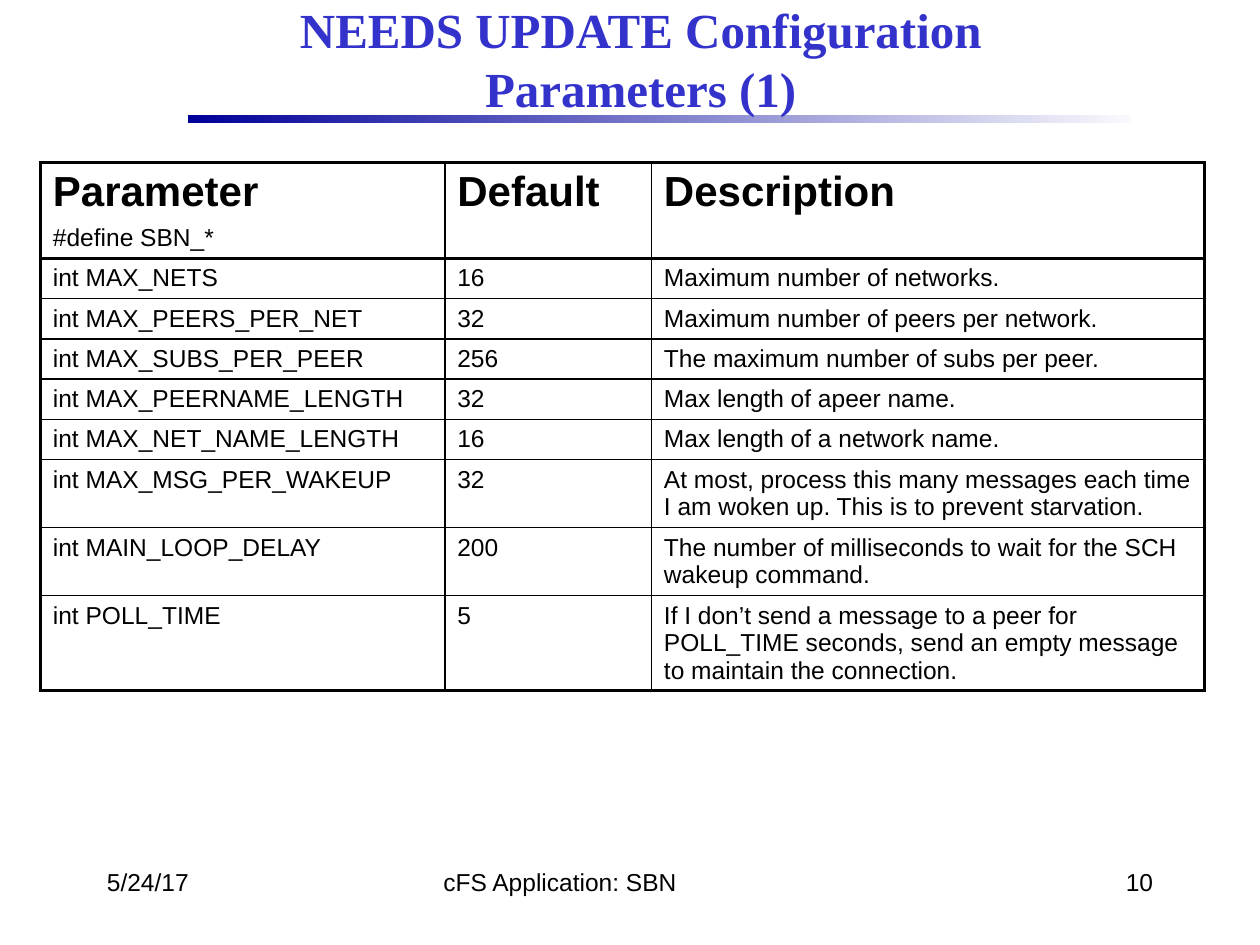
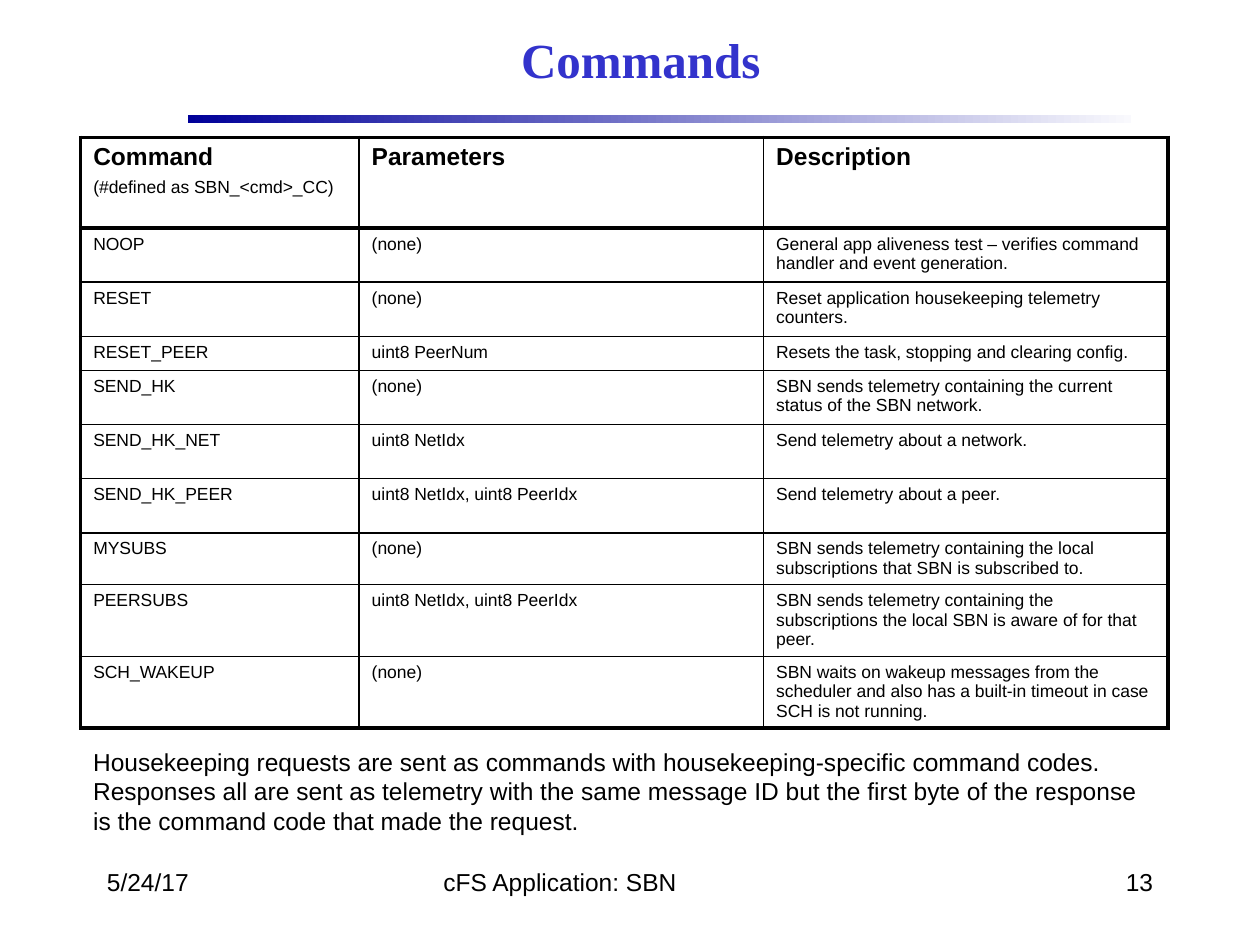
"""Builds two table slides: configuration parameters and commands."""
from lxml.etree import SubElement
from pptx import Presentation
from pptx.dml.color import RGBColor
from pptx.enum.shapes import MSO_SHAPE
from pptx.enum.text import MSO_ANCHOR as ANCHOR, PP_ALIGN as ALIGN
from pptx.oxml.ns import qn
from pptx.util import Inches, Pt

TITLE_BLUE = RGBColor(0x33, 0x33, 0xCC)
BAND_START = RGBColor(0x00, 0x00, 0x99)
BAND_END = RGBColor(0xF9, 0xF9, 0xFD)
BLACK = RGBColor(0, 0, 0)
WHITE = RGBColor(0xFF, 0xFF, 0xFF)
SANS, SERIF = "Arial", "Times New Roman"
THICK, THIN = 2.25, 1
BODY = 14

BAND_BOX = (1.49, 0.91, 7.49, 0.07)
TITLE_BOX = (1.5, 0.09, 7.17, 0.75)
NOTE_BOX = (0.64, 5.88, 8.62, 0.81)
FOOTER_TOP, FOOTER_H = 6.83, 0.5
DATE, FOOTER = "5/24/17", "cFS Application: SBN"

SLIDES = [
    {
        "title": "NEEDS UPDATE Configuration Parameters (1)",
        "number": "10",
        "at": (0.32, 1.29),
        "cols": (3.21, 1.64, 4.39),
        "heights": [0.76] + [0.32] * 5 + [0.54] * 2 + [0.75],
        "sizes": (24, 14),
        "header": [("Parameter", "#define SBN_*"), ("Default",), ("Description",)],
        "rows": [
            ("int MAX_NETS", "16", "Maximum number of networks."),
            ("int MAX_PEERS_PER_NET", "32", "Maximum number of peers per network."),
            ("int MAX_SUBS_PER_PEER", "256", "The maximum number of subs per peer."),
            ("int MAX_PEERNAME_LENGTH", "32", "Max length of apeer name."),
            ("int MAX_NET_NAME_LENGTH", "16", "Max length of a network name."),
            ("int MAX_MSG_PER_WAKEUP", "32",
             "At most, process this many messages each time I am woken up. "
             "This is to prevent starvation."),
            ("int MAIN_LOOP_DELAY", "200",
             "The number of milliseconds to wait for the SCH wakeup command."),
            ("int POLL_TIME", "5",
             "If I don\u2019t send a message to a peer for POLL_TIME seconds, "
             "send an empty message to maintain the connection."),
        ],
    },
    {
        "title": "Commands",
        "number": "13",
        "at": (0.64, 1.09),
        "cols": (2.21, 3.21, 3.21),
        "heights": [0.72, 0.43, 0.43, 0.27, 0.43, 0.43, 0.43, 0.41, 0.57, 0.57],
        "sizes": (14, 10),
        "header": [("Command", "(#defined as SBN_<cmd>_CC)"), ("Parameters",), ("Description",)],
        "rows": [
            ("NOOP", "(none)",
             "General app aliveness test \u2013 verifies command handler and event generation."),
            ("RESET", "(none)", "Reset application housekeeping telemetry counters."),
            ("RESET_PEER", "uint8 PeerNum", "Resets the task, stopping and clearing config."),
            ("SEND_HK", "(none)",
             "SBN sends telemetry containing the current status of the SBN network."),
            ("SEND_HK_NET", "uint8 NetIdx", "Send telemetry about a network."),
            ("SEND_HK_PEER", "uint8 NetIdx, uint8 PeerIdx", "Send telemetry about a peer."),
            ("MYSUBS", "(none)",
             "SBN sends telemetry containing the local subscriptions that SBN is subscribed to."),
            ("PEERSUBS", "uint8 NetIdx, uint8 PeerIdx",
             "SBN sends telemetry containing the subscriptions the local SBN "
             "is aware of for that peer."),
            ("SCH_WAKEUP", "(none)",
             "SBN waits on wakeup messages from the scheduler and also has a "
             "built-in timeout in case SCH is not running."),
        ],
        "note": "Housekeeping requests are sent as commands with housekeeping-specific "
                "command codes. Responses all are sent as telemetry with the same message "
                "ID but the first byte of the response is the command code that made "
                "the request.",
    },
]


def add_run(p, text, size, font=SANS, color=BLACK, bold=False):
    r = p.add_run()
    r.text = text
    r.font.size, r.font.name, r.font.bold = Pt(size), font, bold
    r.font.color.rgb = color


def add_text(s, box, text, size=BODY, align=ALIGN.LEFT, anchor=ANCHOR.TOP, **style):
    tf = s.shapes.add_textbox(*map(Inches, box)).text_frame
    tf.word_wrap, tf.vertical_anchor = True, anchor
    p = tf.paragraphs[0]
    p.alignment, p.line_spacing = align, 1.0
    add_run(p, text, size, **style)


def add_frame(s, title, number):
    band = s.shapes.add_shape(MSO_SHAPE.RECTANGLE, *map(Inches, BAND_BOX))
    band.shadow.inherit = False
    band.line.fill.background()
    band.fill.gradient()
    band.fill.gradient_angle = 0
    for stop, color in zip(band.fill.gradient_stops, (BAND_START, BAND_END)):
        stop.color.rgb = color
    add_text(s, TITLE_BOX, title, 28, ALIGN.CENTER, ANCHOR.MIDDLE,
             font=SERIF, color=TITLE_BLUE, bold=True)
    for left, width, text, align in ((0.75, 2.08, DATE, ALIGN.LEFT),
                                     (3.42, 3.17, FOOTER, ALIGN.LEFT),
                                     (7.17, 2.08, number, ALIGN.RIGHT)):
        add_text(s, (left, FOOTER_TOP, width, FOOTER_H), text, align=align)


def set_borders(cell, widths):
    tc_pr = cell._tc.get_or_add_tcPr()
    for side, width in zip("LRTB", widths):
        ln = SubElement(tc_pr, qn("a:ln" + side), w=str(Pt(width)))
        fill = SubElement(ln, qn("a:solidFill"))
        SubElement(fill, qn("a:srgbClr"), val=str(BLACK))


def add_grid(s, at, cols, heights, header, rows, sizes):
    n_rows, n_cols = len(heights), len(cols)
    box = map(Inches, (*at, sum(cols), sum(heights)))
    table = s.shapes.add_table(n_rows, n_cols, *box).table
    table.first_row = table.horz_banding = False
    for column, width in zip(table.columns, cols):
        column.width = Inches(width)
    for row, height in zip(table.rows, heights):
        row.height = Inches(height)
    head_size, body_size = sizes
    lines = [header] + [[(text,) for text in row] for row in rows]
    for i, row in enumerate(lines):
        for j, texts in enumerate(row):
            cell = table.cell(i, j)
            edges = (j == 0, j == n_cols - 1, i < 2, i in (0, n_rows - 1))
            set_borders(cell, [THICK if edge else THIN for edge in edges])
            cell.fill.solid()
            cell.fill.fore_color.rgb = WHITE
            cell.margin_bottom = 0
            tf = cell.text_frame
            for k, text in enumerate(texts):
                p = tf.add_paragraph() if k else tf.paragraphs[0]
                p.space_before = Pt(0.35 * body_size) if k else Pt(0)
                heading = i == 0 and k == 0
                add_run(p, text, head_size if heading else body_size, bold=heading)


prs = Presentation()
prs.slide_width, prs.slide_height = Inches(10), Inches(7.5)
for data in SLIDES:
    s = prs.slides.add_slide(prs.slide_layouts[6])
    add_frame(s, data["title"], data["number"])
    add_grid(s, *(data[key] for key in ("at", "cols", "heights", "header", "rows", "sizes")))
    if "note" in data:
        add_text(s, NOTE_BOX, data["note"])
prs.save("out.pptx")
